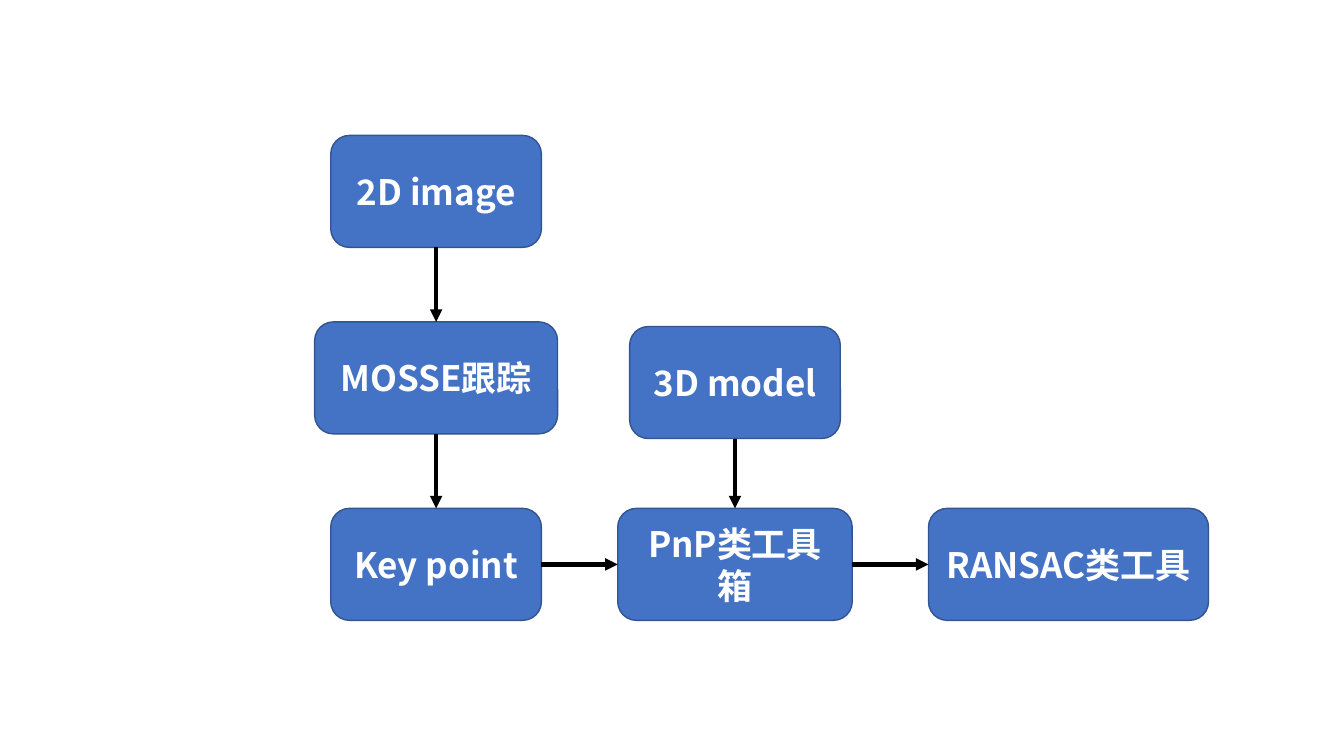
from lxml.etree import SubElement
from pptx import Presentation
from pptx.dml.color import RGBColor
from pptx.enum.shapes import MSO_CONNECTOR as Connector, MSO_SHAPE as Shape
from pptx.enum.text import MSO_ANCHOR as Anchor, PP_ALIGN as Align
from pptx.oxml.ns import qn
from pptx.util import Pt

FONT = "Noto Sans CJK SC"
TOP, LEFT, BOTTOM, RIGHT = range(4)


def paint(color_format, color):
    color_format.rgb = RGBColor.from_string(color)


deck = Presentation()
deck.slide_width, deck.slide_height = Pt(960), Pt(540)
slide = deck.slides.add_slide(deck.slide_layouts[6])

step_height = 80
tracking_x, pose_x, filter_x = 311.5, 525, 763.25
image_y, tracker_y, result_y = [96.75 + 133.2 * row for row in range(3)]
model_y = 233.25

steps = {}
for label, center_x, top, width in [
    ("2D image", tracking_x, image_y, 150.5),
    ("MOSSE跟踪", tracking_x, tracker_y, 173.5),
    ("Key point", tracking_x, result_y, 150.5),
    ("3D model", pose_x, model_y, 150.5),
    ("PnP类工具箱", pose_x, result_y, 167.5),
    ("RANSAC类工具", filter_x, result_y, 200),
]:
    step = slide.shapes.add_shape(
        Shape.ROUNDED_RECTANGLE,
        Pt(center_x - width / 2), Pt(top), Pt(width), Pt(step_height),
    )
    step.shadow.inherit = False
    step.fill.solid()
    paint(step.fill.fore_color, "4472C4")
    paint(step.line.color, "325491")
    step.line.width = Pt(1)
    caption = step.text_frame
    caption.text = label
    caption.word_wrap = True
    caption.vertical_anchor = Anchor.MIDDLE
    caption.paragraphs[0].alignment = Align.CENTER
    for run in caption.paragraphs[0].runs:
        run.font.size = Pt(25)
        run.font.bold = True
        run.font.name = FONT
        paint(run.font.color, "FFFFFF")
        SubElement(run.font._element, qn("a:ea"), typeface=FONT)
    steps[label] = step

for source, exit_side, target, entry_side in [
    ("2D image", BOTTOM, "MOSSE跟踪", TOP),
    ("MOSSE跟踪", BOTTOM, "Key point", TOP),
    ("3D model", BOTTOM, "PnP类工具箱", TOP),
    ("Key point", RIGHT, "PnP类工具箱", LEFT),
    ("PnP类工具箱", RIGHT, "RANSAC类工具", LEFT),
]:
    arrow = slide.shapes.add_connector(Connector.STRAIGHT, 0, 0, 0, 0)
    arrow.begin_connect(steps[source], exit_side)
    arrow.end_connect(steps[target], entry_side)
    paint(arrow.line.color, "000000")
    arrow.line.width = Pt(3)
    SubElement(arrow.line._get_or_add_ln(), qn("a:tailEnd"), type="triangle")
    SubElement(arrow._element.spPr, qn("a:effectLst"))

deck.save("out.pptx")
